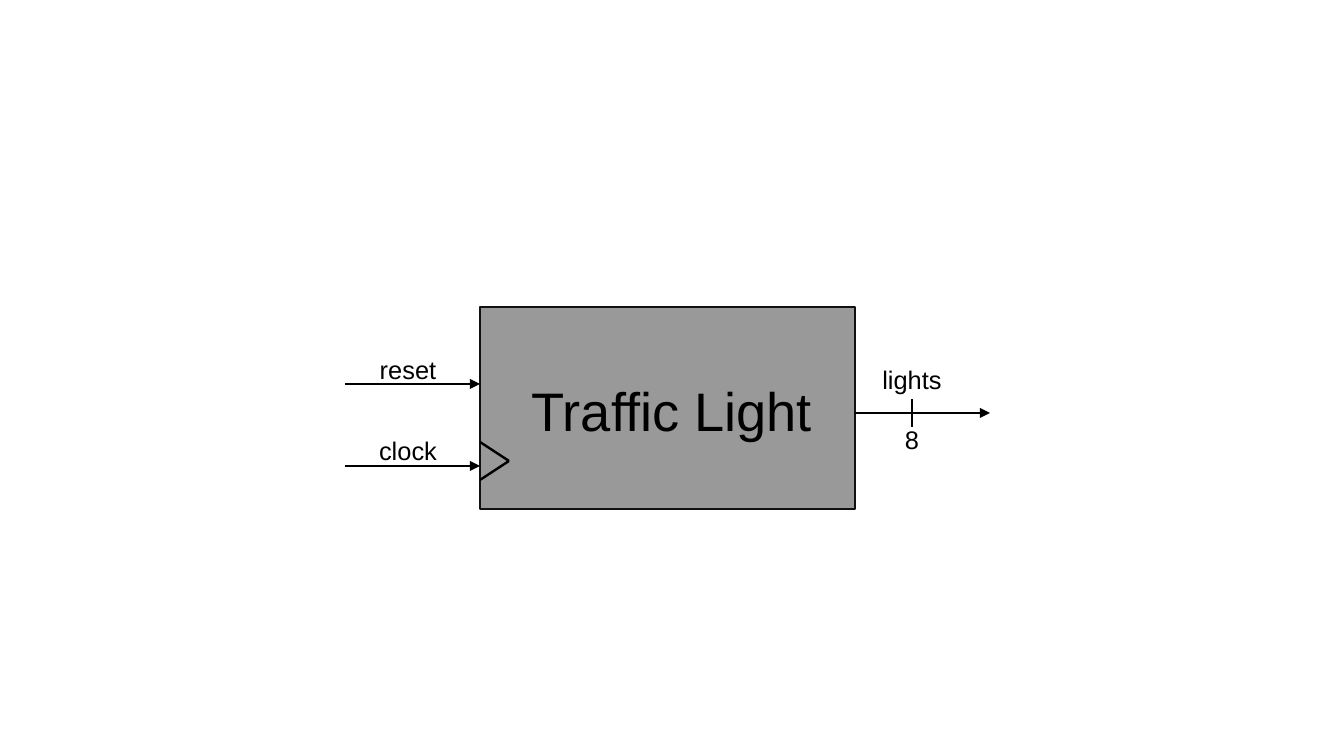
from lxml import etree
from pptx import Presentation
from pptx.dml.color import RGBColor
from pptx.enum.shapes import MSO_CONNECTOR as CONNECTOR, MSO_SHAPE as SHAPE
from pptx.enum.text import MSO_ANCHOR as ANCHOR, MSO_AUTO_SIZE as AUTO_SIZE, PP_ALIGN as ALIGN
from pptx.oxml.ns import qn
from pptx.util import Emu, Pt

BLACK = RGBColor(0x00, 0x00, 0x00)
EDGE = RGBColor(0x11, 0x11, 0x11)
GREY = RGBColor(0x99, 0x99, 0x99)
FONT = "Arial"
STROKE = Pt(1.42)

SLIDE = (1344, 756)
BLOCK = (480, 307, 375, 202)
BLOCK_NAME = ("Traffic Light", (528, 349, 288, 122))
WIRE_LENGTH = 135
INPUT_YS = (384, 466)
OUTPUT_Y = 413
BUS_X, BUS_TICK = 912, 14
CLOCK_Y, CLOCK_DEPTH, CLOCK_HALF = 461, 29, 19
SIGNALS = [
    ("reset", (341, 350, 134, 38)),
    ("clock", (355, 436, 106, 28)),
    ("8", (888, 422, 48, 34)),
    ("lights", (855, 355, 114, 48)),
]


def px(*lengths):
    return [Emu(round(length * 914400 / 122)) for length in lengths]


def write(shape, text, box, size=15, color=BLACK, align=ALIGN.CENTER):
    shape.left, shape.top, shape.width, shape.height = px(*box)
    frame = shape.text_frame
    frame.word_wrap = True
    frame.auto_size = AUTO_SIZE.NONE
    frame.vertical_anchor = ANCHOR.MIDDLE
    frame.margin_left = frame.margin_right = frame.margin_top = frame.margin_bottom = 0
    paragraph = frame.paragraphs[0]
    paragraph.alignment = align
    paragraph.space_before = Pt(0)
    run = paragraph.add_run()
    run.text = text
    run.font.name, run.font.size = FONT, Pt(size)
    run.font.color.rgb = color


def draw_line(shapes, start, end, arrow=False):
    line = shapes.add_connector(CONNECTOR.STRAIGHT, *px(*start, *end))
    line.line.color.rgb = BLACK
    line.line.width = STROKE
    properties = line.element.spPr
    if arrow:
        etree.SubElement(properties.find(qn("a:ln")), qn("a:tailEnd"), type="triangle")
    etree.SubElement(properties, qn("a:effectLst"))


def main():
    deck = Presentation()
    deck.slide_width, deck.slide_height = px(*SLIDE)
    slide = deck.slides.add_slide(deck.slide_layouts[0])
    shapes = slide.shapes
    title, block_name = slide.placeholders
    shapes.element.remove(title.element)

    block = shapes.add_shape(SHAPE.FLOWCHART_PROCESS, *px(*BLOCK))
    block.shadow.inherit = False
    block.fill.solid()
    block.fill.fore_color.rgb = GREY
    block.line.color.rgb = EDGE
    block.line.width = STROKE
    block_name.element.addprevious(block.element)
    write(block_name, *BLOCK_NAME, size=32)

    left, right = BLOCK[0], BLOCK[0] + BLOCK[2]
    wires = [(left - WIRE_LENGTH, y) for y in INPUT_YS] + [(right, OUTPUT_Y)]
    for x, y in wires:
        draw_line(shapes, (x, y), (x + WIRE_LENGTH, y), arrow=True)

    draw_line(shapes, (BUS_X, OUTPUT_Y - BUS_TICK), (BUS_X, OUTPUT_Y + BUS_TICK))
    clock_tip = (left + CLOCK_DEPTH, CLOCK_Y)
    for offset in (-CLOCK_HALF, CLOCK_HALF):
        draw_line(shapes, (left, CLOCK_Y + offset), clock_tip)

    for signal, box in SIGNALS:
        write(shapes.add_textbox(*px(*box)), signal, box)

    deck.save("out.pptx")


if __name__ == "__main__":
    main()
